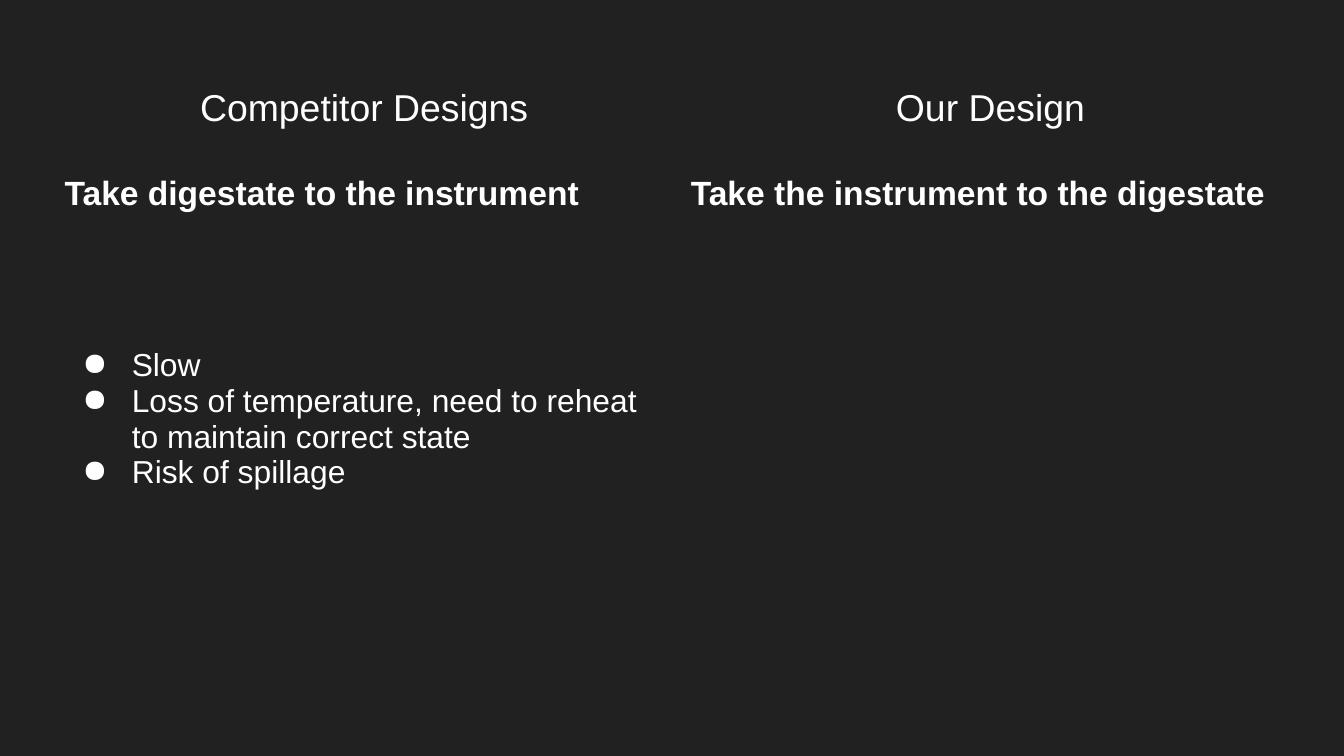
from lxml import etree
from pptx import Presentation
from pptx.dml.color import RGBColor
from pptx.enum.text import PP_ALIGN
from pptx.oxml.ns import qn
from pptx.util import Pt

CENTER, LEFT = PP_ALIGN.CENTER, PP_ALIGN.LEFT
BACKGROUND = RGBColor(0x21, 0x21, 0x21)
WHITE = RGBColor(0xFF, 0xFF, 0xFF)
NO_GRID_STYLE = "{2D5ABB26-0587-4C30-8999-92F81FD0307C}"

DESIGNS = [
    {
        "heading": "Competitor Designs",
        "approach": "Take digestate to the instrument",
        "drawbacks": [
            "Slow",
            "Loss of temperature, need to reheat to maintain correct state",
            "Risk of spillage",
        ],
    },
    {
        "heading": "Our Design",
        "approach": "Take the instrument to the digestate",
        "drawbacks": [],
    },
]
ROW_HEIGHTS = [46.8, 92.9, 118.1, 42.5]
COLUMN_WIDTH = 335.5
TABLE_LEFT, TABLE_TOP = 27.4, 39.6
INSET = 7.2


def add_bullet(paragraph):
    properties = paragraph._p.get_or_add_pPr()
    properties.set("marL", str(Pt(36)))
    properties.set("indent", str(-Pt(26.5)))
    color = etree.SubElement(properties, qn("a:buClr"))
    etree.SubElement(color, qn("a:srgbClr"), val=str(WHITE))
    etree.SubElement(properties, qn("a:buChar"), char="●")


def write_cell(cell, lines, size, bold=False, align=LEFT, bulleted=False):
    for index, line in enumerate(lines):
        frame = cell.text_frame
        paragraph = frame.add_paragraph() if index else frame.paragraphs[0]
        paragraph.text = line
        paragraph.alignment = align
        font = paragraph.font
        font.name, font.size, font.bold = "Arial", Pt(size), bold
        font.color.rgb = WHITE
        if bulleted:
            add_bullet(paragraph)


def main():
    presentation = Presentation()
    presentation.slide_width, presentation.slide_height = Pt(720), Pt(405)
    slide = presentation.slides.add_slide(presentation.slide_layouts[6])
    slide.background.fill.solid()
    slide.background.fill.fore_color.rgb = BACKGROUND

    comparison = slide.shapes.add_table(
        len(ROW_HEIGHTS), len(DESIGNS), Pt(TABLE_LEFT), Pt(TABLE_TOP),
        Pt(COLUMN_WIDTH * len(DESIGNS)), Pt(sum(ROW_HEIGHTS)),
    ).table
    comparison.first_row = comparison.horz_banding = False
    comparison._tbl.tblPr.find(qn("a:tableStyleId")).text = NO_GRID_STYLE
    for row, height in zip(comparison.rows, ROW_HEIGHTS):
        row.height = Pt(height)
    for cell in comparison.iter_cells():
        cell.fill.background()
        cell.margin_left = cell.margin_right = Pt(INSET)
        cell.margin_top = cell.margin_bottom = Pt(INSET)

    for column, design in enumerate(DESIGNS):
        comparison.columns[column].width = Pt(COLUMN_WIDTH)
        write_cell(comparison.cell(0, column), [design["heading"]], 20, align=CENTER)
        write_cell(comparison.cell(1, column), [design["approach"]], 18, bold=True)
        write_cell(comparison.cell(2, column), design["drawbacks"], 17, bulleted=True)

    presentation.save("out.pptx")


if __name__ == "__main__":
    main()
